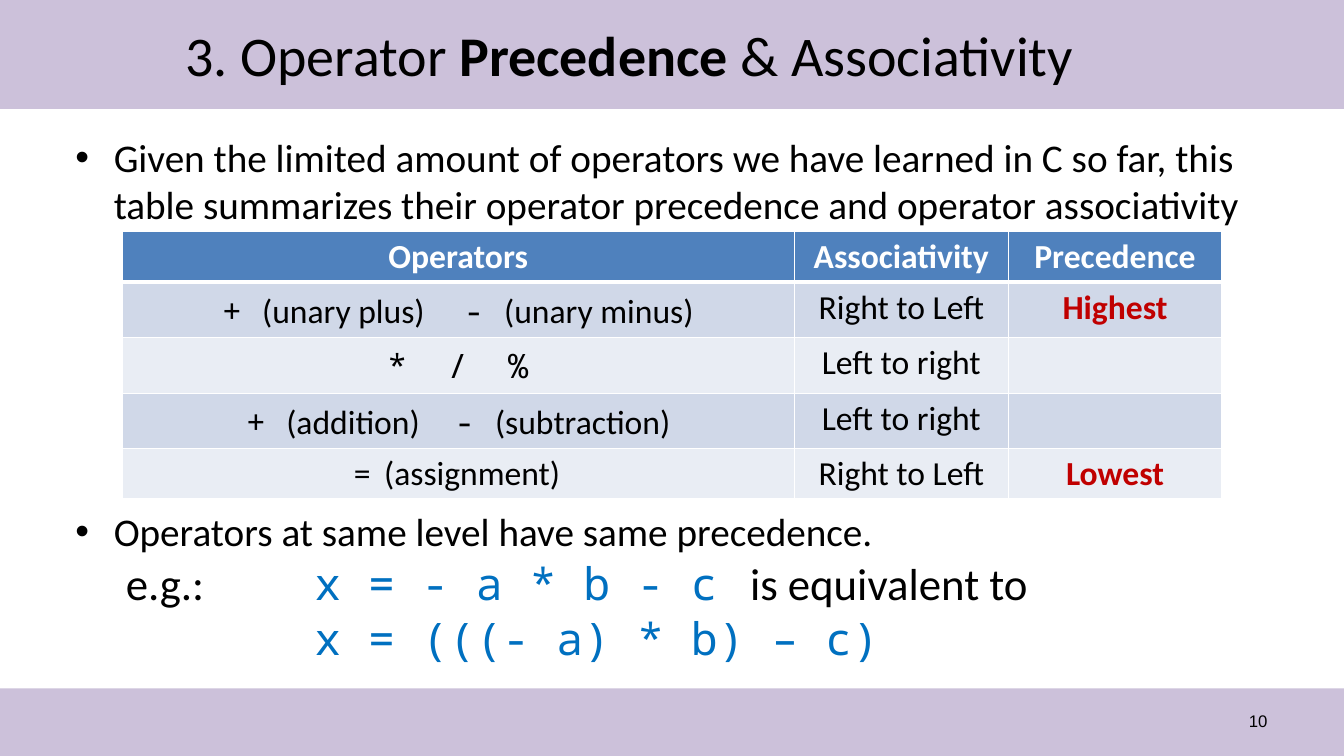
from dataclasses import dataclass

from lxml.etree import SubElement
from pptx import Presentation
from pptx.dml.color import RGBColor
from pptx.enum.shapes import MSO_SHAPE
from pptx.enum.text import MSO_ANCHOR, PP_ALIGN
from pptx.oxml.ns import qn
from pptx.util import Inches, Pt


@dataclass(frozen=True)
class Theme:
    """Colours, fonts and type sizes of the slide."""
    band: str = "CCC1DA"
    black: str = "000000"
    white: str = "FFFFFF"
    code: str = "0070C0"
    accent: str = "C00000"
    header: str = "4F81BD"
    rows: tuple = ("D0D8E8", "E9EDF4")
    sans: str = "Calibri"
    mono: str = "Noto Sans Mono"
    number_font: str = "Arial"
    title: int = 40
    example: int = 32
    body: int = 28
    cell: int = 24
    number: int = 12


class SlideBuilder:
    """Draws styled elements on one slide."""

    def __init__(self, s, theme):
        self.s = s
        self.t = theme

    def band(self, top, height):
        """Add a full-width coloured band."""
        sp = self.s.shapes.add_shape(
            MSO_SHAPE.RECTANGLE, 0, Inches(top), Inches(13.33), Inches(height))
        sp.shadow.inherit = False
        sp.fill.solid()
        sp.fill.fore_color.rgb = RGBColor.from_string(self.t.band)
        sp.line.fill.background()

    def box(self, left, top, width, height, anchor=MSO_ANCHOR.TOP):
        """Add a wrapping text box and return its text frame."""
        tf = self.s.shapes.add_textbox(
            Inches(left), Inches(top), Inches(width), Inches(height)).text_frame
        tf.word_wrap = True
        tf.vertical_anchor = anchor
        return tf

    def run(self, p, text, size, font=None, color=None, bold=False):
        """Add one styled run to a paragraph."""
        r = p.add_run()
        r.text = text
        r.font.size = Pt(size)
        r.font.name = font or self.t.sans
        r.font.bold = bold
        r.font.color.rgb = RGBColor.from_string(color or self.t.black)

    def bullet(self, p):
        """Give a paragraph a hanging bullet."""
        pPr = p._p.get_or_add_pPr()
        pPr.set("marL", str(Inches(0.38)))
        pPr.set("indent", str(-Inches(0.38)))
        SubElement(pPr, qn("a:buFont"), typeface="Arial")
        SubElement(pPr, qn("a:buChar"), char="•")

    def tabs(self, p, stops):
        """Set left tab stops in inches."""
        tab_list = SubElement(p._p.get_or_add_pPr(), qn("a:tabLst"))
        for stop in stops:
            SubElement(tab_list, qn("a:tab"), pos=str(Inches(stop)), algn="l")

    def cell(self, cell, fill, runs, stops=(), bottom=1):
        """Fill a table cell with borders, colour and text."""
        tcPr = cell._tc.get_or_add_tcPr()
        for side, width in (("L", 1), ("R", 1), ("T", 1), ("B", bottom)):
            ln = SubElement(tcPr, qn(f"a:ln{side}"), w=str(Pt(width)))
            SubElement(SubElement(ln, qn("a:solidFill")), qn("a:srgbClr"), val=self.t.white)
        cell.fill.solid()
        cell.fill.fore_color.rgb = RGBColor.from_string(fill)
        p = cell.text_frame.paragraphs[0]
        p.alignment = PP_ALIGN.LEFT if stops else PP_ALIGN.CENTER
        if stops:
            self.tabs(p, stops)
        for text, *style in runs:
            self.run(p, text, self.t.cell, *style)

    def table(self, left, top, widths, heights, header, rows):
        """Add the operator table."""
        tbl = self.s.shapes.add_table(
            len(heights), len(widths), Inches(left), Inches(top),
            Inches(sum(widths)), Inches(sum(heights))).table
        tbl.first_row = tbl.horz_banding = False
        for col, width in zip(tbl.columns, widths):
            col.width = Inches(width)
        for row, height in zip(tbl.rows, heights):
            row.height = Inches(height)
        for j, label in enumerate(header):
            self.cell(tbl.cell(0, j), self.t.header,
                      [(label, self.t.sans, self.t.white, True)], bottom=3)
        for i, (operators, stops, order, level) in enumerate(rows, 1):
            fill = self.t.rows[(i - 1) % 2]
            self.cell(tbl.cell(i, 0), fill, operators, stops)
            self.cell(tbl.cell(i, 1), fill, [(order,)])
            levels = [(level, self.t.sans, self.t.accent, True)] if level else []
            self.cell(tbl.cell(i, 2), fill, levels)


def main():
    """Build and save the slide."""
    prs = Presentation()
    prs.slide_width, prs.slide_height = Inches(13.33), Inches(7.5)
    t = Theme()
    b = SlideBuilder(prs.slides.add_slide(prs.slide_layouts[6]), t)
    b.band(0, 1.08)
    b.band(6.83, 0.67)

    p = b.box(9.56, 6.95, 3.11, 0.4, MSO_ANCHOR.MIDDLE).paragraphs[0]
    p.alignment = PP_ALIGN.RIGHT
    b.run(p, "10", t.number, t.number_font)

    tf = b.box(0.65, 1.27, 12.45, 5.68)
    points = (
        ("Given the limited amount of operators we have learned in C so far, this "
         "table summarizes their operator precedence and operator associativity", 0),
        ("Operators at same level have same precedence.", 200),
    )
    for i, (text, space) in enumerate(points):
        p = tf.add_paragraph() if i else tf.paragraphs[0]
        p.space_before = Pt(space)
        b.bullet(p)
        b.run(p, text, t.body)

    examples = (
        [("\te.g.:\t",), ("x = - a * b - c", t.mono, t.code), ("\tis equivalent to",)],
        [("\t\t",), ("x = (((- a) * b) – c)", t.mono, t.code)],
    )
    for runs in examples:
        p = tf.add_paragraph()
        p.space_before = Pt(1)
        b.tabs(p, (0.5, 2.37, 6.69))
        for text, *style in runs:
            b.run(p, text, t.example, *style)

    rows = (
        ([("\t+ ", t.mono), ("(unary plus)",), ("\t- ", t.mono), ("(unary minus)",)],
         (0.89, 3.29), "Right to Left", "Highest"),
        ([("\t*\t/\t%", t.mono)], (2.53, 3.13, 3.73), "Left to right", ""),
        ([("\t+ ", t.mono), ("(addition)",), ("\t- ", t.mono), ("(subtraction)",)],
         (1.13, 3.2), "Left to right", ""),
        ([("\t=\t(assignment)",)], (2.2, 2.5), "Right to Left", "Lowest"),
    )
    b.table(1.21, 2.3, (6.67, 2.12, 2.12), (0.5, 0.55, 0.55, 0.55, 0.5),
            ("Operators", "Associativity", "Precedence"), rows)

    p = b.box(1.74, 0.08, 9.34, 0.92, MSO_ANCHOR.MIDDLE).paragraphs[0]
    for text, bold in (("3. Operator ", False), ("Precedence", True),
                       (" & Associativity", False)):
        b.run(p, text, t.title, bold=bold)

    prs.save("out.pptx")


if __name__ == "__main__":
    main()
